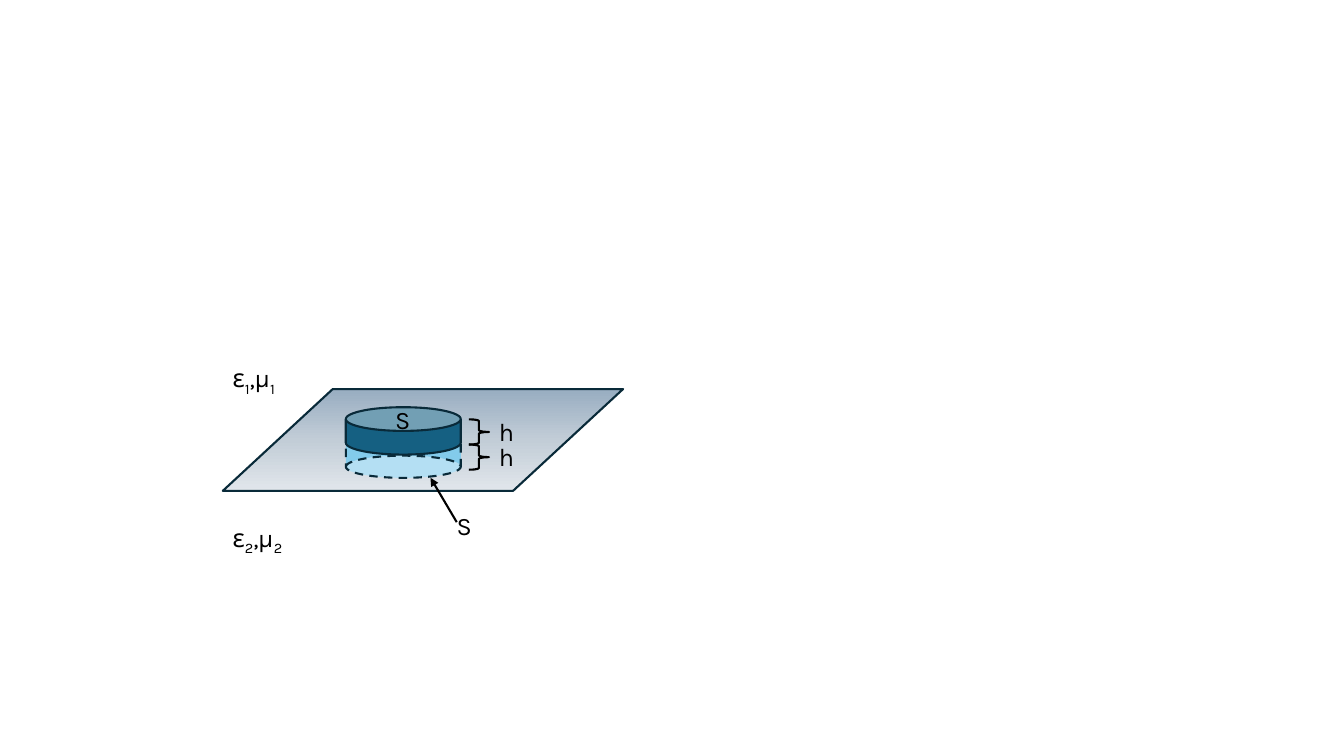
from copy import deepcopy

from lxml import etree
from pptx import Presentation
from pptx import util as u
from pptx.dml.color import RGBColor
from pptx.enum import dml, shapes, text
from pptx.oxml.ns import qn

BLACK = RGBColor(0x00, 0x00, 0x00)
NAVY = RGBColor(0x09, 0x2A, 0x39)
TEAL = RGBColor(0x15, 0x60, 0x82)
SKY = RGBColor(0x83, 0xCB, 0xEB)
PLANE = [RGBColor(0x98, 0xAD, 0xC1), RGBColor(0xC2, 0xCD, 0xD7), RGBColor(0xE1, 0xE6, 0xEB)]
LINE = u.Pt(1.5)
CELL = u.Inches(0.1)  # grid of 133.3 columns by 75 rows

prs = Presentation()
prs.slide_width, prs.slide_height = u.Inches(13.33), u.Inches(7.5)
s = prs.slides.add_slide(prs.slide_layouts[6])


def add_outline(kind, col, row, cols, rows, color, rotation=0):
    """Add an unfilled, shadowless preset shape placed on the grid."""
    sp = s.shapes.add_shape(kind, *(round(n * CELL) for n in (col, row, cols, rows)))
    sp.shadow.inherit = False
    sp.rotation = rotation
    sp.fill.background()
    sp.line.color.rgb = color
    sp.line.width = LINE
    return sp


def add_label(col, row, cols, parts):
    """Add a text box; every second part is a subscript."""
    sp = s.shapes.add_textbox(*(round(n * CELL) for n in (col, row, cols, 4)))
    tf = sp.text_frame
    tf.word_wrap = True
    tf.auto_size = text.MSO_AUTO_SIZE.SHAPE_TO_FIT_TEXT
    p = tf.paragraphs[0]
    p.font.name, p.font.size = "Karla", u.Pt(18)
    p.font.color.rgb = BLACK
    for i, part in enumerate(parts):
        r = p.add_run()
        r.text = part
        if i % 2:
            r.font._element.set("baseline", "-25000")


# Boundary plane with a three-stop vertical gradient
sp = add_outline(shapes.MSO_SHAPE.PARALLELOGRAM, 22.1, 38.6, 39.7, 10.1, NAVY)
sp.adjustments[0] = 1.08
sp.fill.gradient()
sp.fill.gradient_angle = 270
stop = sp._element.spPr.find(".//" + qn("a:gs"))
stop.addnext(deepcopy(stop))
for i, (stop, color) in enumerate(zip(sp.fill.gradient_stops, PLANE)):
    stop.position = i / 2
    stop.color.rgb = color

# Media above and below the plane
for row, index in ((35.5, "1"), (51.3, "2")):
    add_label(22.1, row, 11, ["ε", index, ",μ", index])

# Pillbox: dashed lower half, solid upper half
for row, rows, color, rotation in ((43, 4.4, SKY, 180), (40.4, 4.7, TEAL, 0)):
    sp = add_outline(shapes.MSO_SHAPE.CAN, 34.3, row, 11.4, rows, NAVY, rotation)
    sp.adjustments[0] = 0.5
    sp.fill.solid()
    sp.fill.fore_color.rgb = color
    if rotation:
        sp.line.dash_style = dml.MSO_LINE.DASH

# Arrow to the lower face
arrow = s.shapes.add_connector(
    shapes.MSO_CONNECTOR.STRAIGHT, *(round(n * CELL) for n in (45.3, 51.8, 42.7, 47.4)))
arrow.line.color.rgb = BLACK
arrow.line.width = LINE
etree.SubElement(arrow.line._get_or_add_ln(), qn("a:tailEnd"), type="triangle")
etree.SubElement(arrow._element.spPr, qn("a:effectLst"))

# Face labels
for col, row in ((38.2, 39.6), (44.3, 50.1)):
    add_label(col, row, 4.4, ["S"])

# Height braces with their labels
for i in range(2):
    add_outline(shapes.MSO_SHAPE.LEFT_BRACE, 46.5, 41.6 + 2.5 * i, 2, 2.5, BLACK, 180)
    add_label(48.5, 40.8 + 2.5 * i, 4.4, ["h"])

prs.save("out.pptx")
